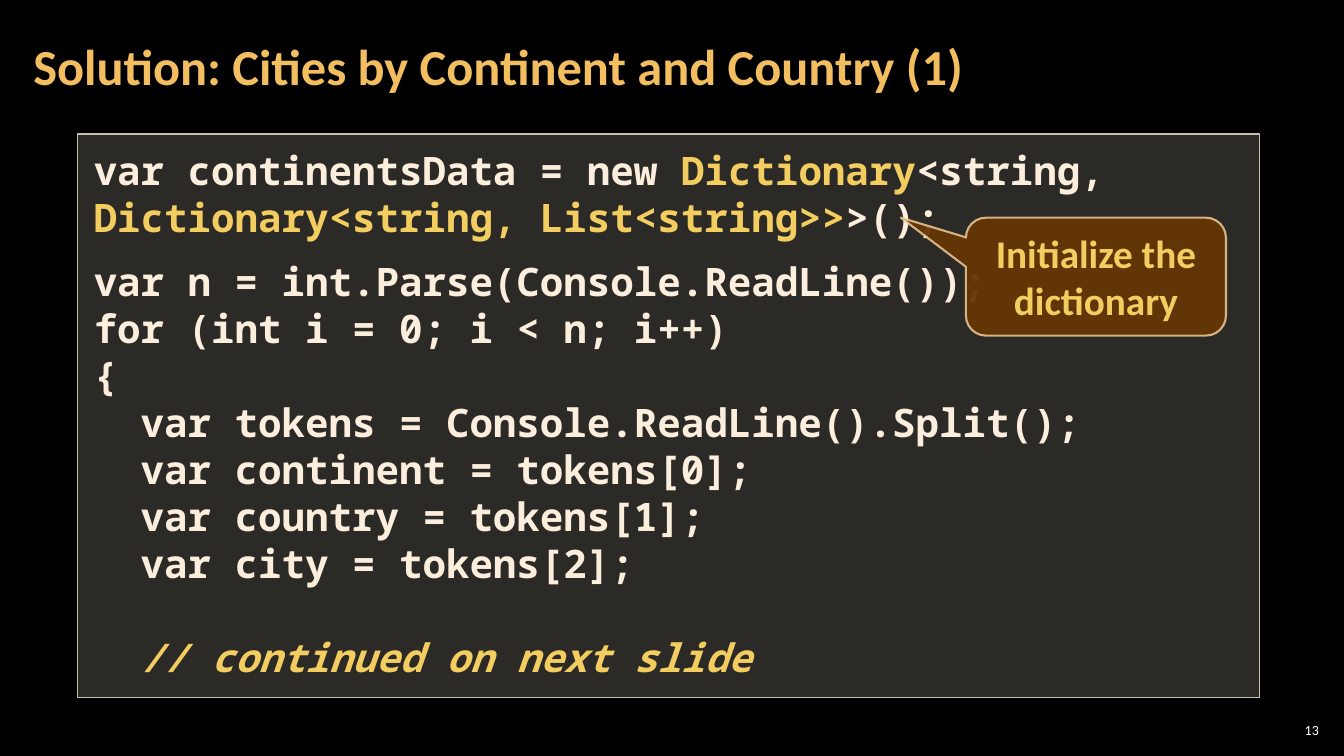
from lxml.etree import SubElement
from pptx import Presentation
from pptx.dml.color import RGBColor
from pptx.enum.shapes import MSO_SHAPE as Preset
from pptx.enum.text import MSO_ANCHOR as Anchor, PP_ALIGN as Align
from pptx.oxml.ns import qn
from pptx.util import Inches, Pt

SLIDE_WIDTH = Inches(13.33)
SLIDE_HEIGHT = Inches(7.5)

BLACK = RGBColor(0x00, 0x00, 0x00)
WHITE = RGBColor(0xFF, 0xFF, 0xFF)
TITLE_ORANGE = RGBColor(0xF3, 0xBE, 0x60)
CODE_CREAM = RGBColor(0xFB, 0xEE, 0xDC)
HIGHLIGHT = RGBColor(0xF3, 0xCD, 0x60)
PANEL_FILL = RGBColor(0xD9, 0xD5, 0xC7)
PANEL_LINE = RGBColor(0xC7, 0xBF, 0xAC)
CALLOUT_FILL = RGBColor(0x66, 0x36, 0x06)
CALLOUT_LINE = RGBColor(0xF8, 0xD4, 0x9E)

TEXT_FONT = "Calibri"
CODE_FONT = "Noto Sans Mono"
CODE_SIZE = 28
BLANK_LINE = 33.6

DECLARATION = [
    ("var continentsData = new ", CODE_CREAM),
    ("Dictionary", HIGHLIGHT),
    ("<string, ", CODE_CREAM),
    ("Dictionary<string, List<string>>", HIGHLIGHT),
    (">();", CODE_CREAM),
]
BODY = [
    "var n = int.Parse(Console.ReadLine());",
    "for (int i = 0; i < n; i++)",
    "{",
    "  var tokens = Console.ReadLine().Split();",
    "  var continent = tokens[0];",
    "  var country = tokens[1];",
    "  var city = tokens[2];",
]
COMMENT = "  // continued on next slide"


def area(left, top, width, height):
    return (
        round(SLIDE_WIDTH * left / 100),
        round(SLIDE_HEIGHT * top / 100),
        round(SLIDE_WIDTH * width / 100),
        round(SLIDE_HEIGHT * height / 100),
    )


def set_opacity(color_format, percent):
    color = color_format._xFill.find(qn("a:srgbClr"))
    SubElement(color, qn("a:alpha"), val=str(percent * 1000))


def set_frame(shape, horizontal, vertical, anchor):
    frame = shape.text_frame
    frame.word_wrap = True
    frame.vertical_anchor = anchor
    frame.margin_left = frame.margin_right = Inches(horizontal)
    frame.margin_top = frame.margin_bottom = Inches(vertical)
    return frame


def format_run(run, font_name, size, color, bold=True, italic=False):
    font = run.font
    font.name = font_name
    font.size = Pt(size)
    font.bold = bold
    font.italic = italic
    font.color.rgb = color


def add_label(slide, place, text, size, color, margin, align=Align.LEFT, bold=True):
    label = slide.shapes.add_textbox(*place)
    frame = set_frame(label, margin, 0.04, Anchor.MIDDLE)
    frame.text = text
    paragraph = frame.paragraphs[0]
    paragraph.alignment = align
    format_run(paragraph.runs[0], TEXT_FONT, size, color, bold)


def add_panel(slide, preset, place, fill, opacity, line, line_width):
    panel = slide.shapes.add_shape(preset, *place)
    panel.shadow.inherit = False
    panel.fill.solid()
    panel.fill.fore_color.rgb = fill
    set_opacity(panel.fill.fore_color, opacity)
    panel.line.color.rgb = line
    panel.line.width = Pt(line_width)
    return panel


def add_code_line(paragraph, pieces, space_before=0, italic=False):
    paragraph.alignment = Align.LEFT
    paragraph.space_before = Pt(space_before)
    for text, color in pieces:
        run = paragraph.add_run()
        run.text = text
        format_run(run, CODE_FONT, CODE_SIZE, color, italic=italic)


def add_code(slide, place):
    panel = add_panel(slide, Preset.RECTANGLE, place, PANEL_FILL, 20, PANEL_LINE, 1)
    frame = set_frame(panel, 0.16, 0.12, Anchor.TOP)
    add_code_line(frame.paragraphs[0], DECLARATION)
    for index, text in enumerate(BODY):
        space_before = 12 if index == 0 else 0
        add_code_line(frame.add_paragraph(), [(text, CODE_CREAM)], space_before)
    add_code_line(frame.add_paragraph(), [(COMMENT, HIGHLIGHT)], BLANK_LINE, italic=True)


def add_callout(slide, place, text):
    callout = add_panel(
        slide, Preset.ROUNDED_RECTANGULAR_CALLOUT, place,
        CALLOUT_FILL, 95, CALLOUT_LINE, 1.5,
    )
    for index, value in enumerate((-0.75, -0.5, 0.17)):
        callout.adjustments[index] = value
    set_opacity(callout.line.fill.fore_color, 80)
    frame = set_frame(callout, 0.1, 0.05, Anchor.MIDDLE)
    frame.text = text
    paragraph = frame.paragraphs[0]
    paragraph.alignment = Align.CENTER
    format_run(paragraph.runs[0], TEXT_FONT, 28, HIGHLIGHT)


def main():
    presentation = Presentation()
    presentation.slide_width = SLIDE_WIDTH
    presentation.slide_height = SLIDE_HEIGHT
    slide = presentation.slides.add_slide(presentation.slide_layouts[6])
    slide.background.fill.solid()
    slide.background.fill.fore_color.rgb = BLACK

    add_label(slide, area(94.9, 95.2, 3.53, 2.8), "13", 10, WHITE, 0.04, Align.RIGHT, False)
    add_label(
        slide, area(1.58, 0.53, 78.54, 16.13),
        "Solution: Cities by Continent and Country (1)", 36, TITLE_ORANGE, 0.12,
    )
    add_code(slide, area(5.78, 17.73, 87.92, 74.53))
    add_callout(slide, area(71.87, 28.8, 19.35, 15.6), "Initialize the dictionary")
    presentation.save("out.pptx")


if __name__ == "__main__":
    main()
